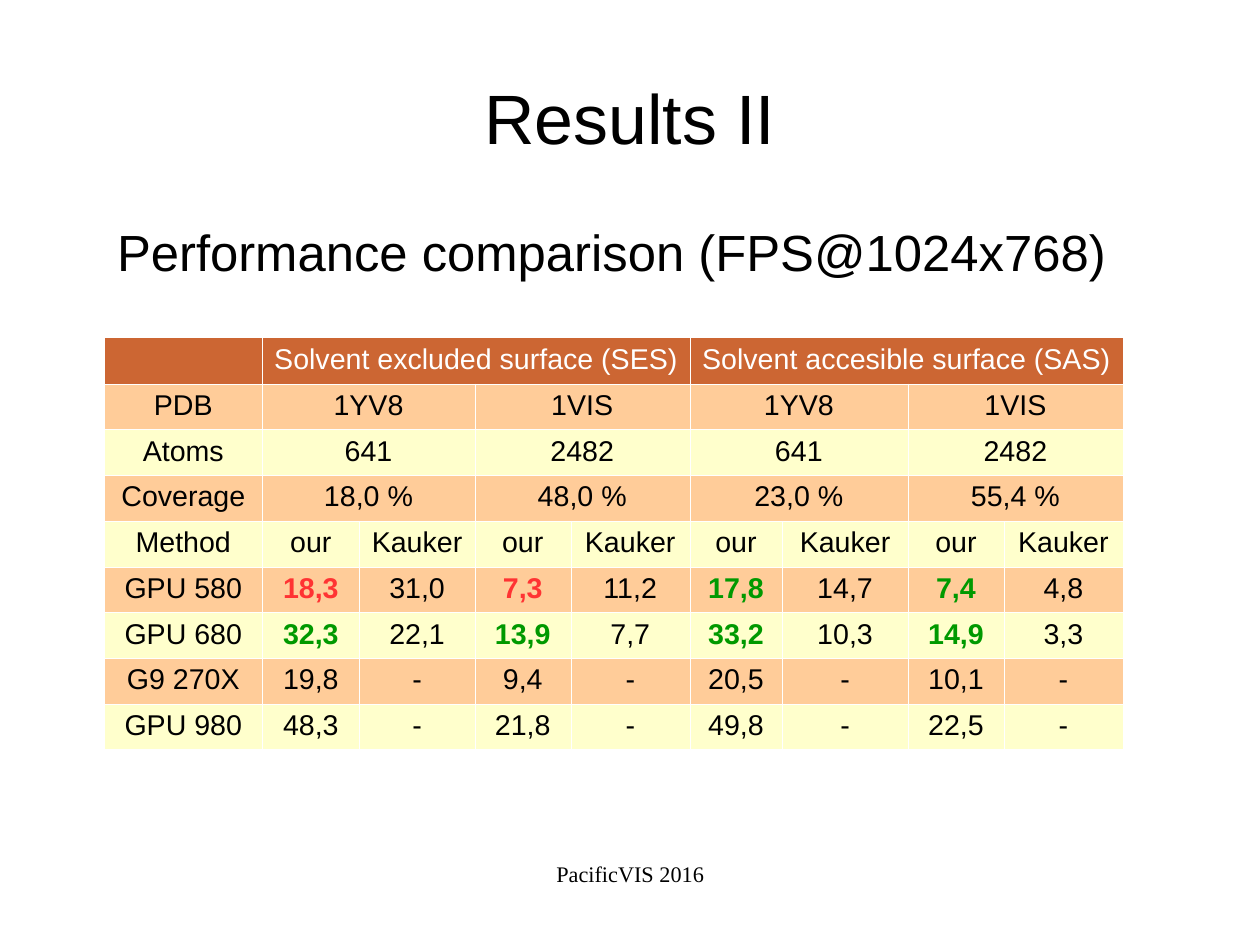
import pptx
import pptx.dml.color
import pptx.enum.text
import pptx.oxml
import pptx.oxml.ns
import pptx.util

Pt = pptx.util.Pt
ALIGN = pptx.enum.text.PP_ALIGN
ANCHOR = pptx.enum.text.MSO_ANCHOR

BLACK, WHITE = "000000", "FFFFFF"
SLOWER, FASTER = "FF3333", "009900"
HEADER_FILL, BAND_FILLS = "CC6633", ("FFCC99", "FFFFCC")

COLUMN_WIDTHS = (99.4, 61.2, 72.7, 60.5, 74.9, 58.3, 79.2, 60.5, 74.9)
ROW_HEIGHT = 28.8

# Each row is a label and its values, which share the eight columns evenly
ROWS = (
    ("", ("Solvent excluded surface (SES)", "Solvent accesible surface (SAS)")),
    ("PDB", ("1YV8", "1VIS") * 2),
    ("Atoms", ("641", "2482") * 2),
    ("Coverage", ("18,0 %", "48,0 %", "23,0 %", "55,4 %")),
    ("Method", ("our", "Kauker") * 4),
    ("GPU 580", ("18,3", "31,0", "7,3", "11,2", "17,8", "14,7", "7,4", "4,8")),
    ("GPU 680", ("32,3", "22,1", "13,9", "7,7", "33,2", "10,3", "14,9", "3,3")),
    ("G9 270X", ("19,8", "-", "9,4", "-", "20,5", "-", "10,1", "-")),
    ("GPU 980", ("48,3", "-", "21,8", "-", "49,8", "-", "22,5", "-")),
)
FIRST_TIMING_ROW = 5


def rgb(value):
    return pptx.dml.color.RGBColor.from_string(value)


def set_attributes(target, values):
    for name, value in values.items():
        setattr(target, name, value)


def write(frame, text, size, color=BLACK, font="Arial", bold=False, **para_format):
    """Put one formatted paragraph into a text frame."""
    para = frame.paragraphs[0]
    set_attributes(para, {"space_before": Pt(0), "space_after": Pt(0), **para_format})
    if text:
        span = para.add_run()
        span.text = text
        set_attributes(span.font, {"size": Pt(size), "name": font, "bold": bold})
        span.font.color.rgb = rgb(color)
    return para


def place(shape, box, anchor=ANCHOR.TOP):
    """Move a text shape to its box and remove its inner margins."""
    sides = ("left", "top", "width", "height")
    set_attributes(shape, {side: Pt(length) for side, length in zip(sides, box)})
    margins = ("margin_left", "margin_top", "margin_right", "margin_bottom")
    set_attributes(shape.text_frame, {
        **dict.fromkeys(margins, 0),
        "word_wrap": True,
        "auto_size": pptx.enum.text.MSO_AUTO_SIZE.NONE,
        "vertical_anchor": anchor,
    })
    return shape.text_frame


def add_title(page, box):
    frame = place(page.shapes.title, box, ANCHOR.MIDDLE)
    write(frame, "Results II", 44, alignment=ALIGN.CENTER)


def add_body(page, box):
    frame = place(page.placeholders[1], box)
    para = write(frame, "Performance comparison (FPS@1024x768)", 32,
                 alignment=ALIGN.LEFT, space_after=Pt(14.2))
    # Indented line without a bullet
    properties = para._p.get_or_add_pPr()
    properties.set("marL", str(Pt(34)))
    properties.set("indent", "0")
    properties.append(pptx.oxml.parse_xml(
        f"<a:buNone {pptx.oxml.ns.nsdecls('a')}/>"))


def style_cell(cell, fill):
    """Thin white borders on all sides and a plain fill."""
    properties = cell._tc.get_or_add_tcPr()
    for side in ("lnL", "lnR", "lnT", "lnB"):
        properties.append(pptx.oxml.parse_xml(
            f'<a:{side} {pptx.oxml.ns.nsdecls("a")} w="{Pt(0.06)}"><a:solidFill>'
            f'<a:srgbClr val="{WHITE}"/></a:solidFill></a:{side}>'))
    cell.fill.solid()
    cell.fill.fore_color.rgb = rgb(fill)


def timing_format(values, index):
    """Highlight our timing wherever there is one to compare it with."""
    if index % 2 or values[index + 1] == "-":
        return {}
    ours, other = (float(value.replace(",", ".")) for value in values[index:index + 2])
    return {"bold": True, "color": FASTER if ours > other else SLOWER}


def add_results_table(page, box):
    lengths = [Pt(length) for length in box]
    table = page.shapes.add_table(len(ROWS), len(COLUMN_WIDTHS), *lengths).table
    for column, width in zip(table.columns, COLUMN_WIDTHS):
        column.width = Pt(width)

    for row, (label, values) in enumerate(ROWS):
        table.rows[row].height = Pt(ROW_HEIGHT)
        fill = BAND_FILLS[(row - 1) % 2] if row else HEADER_FILL
        for column in range(len(COLUMN_WIDTHS)):
            style_cell(table.cell(row, column), fill)

        write(table.cell(row, 0).text_frame, label, 18, alignment=ALIGN.CENTER)
        columns_each = (len(COLUMN_WIDTHS) - 1) // len(values)
        for index, value in enumerate(values):
            first = 1 + index * columns_each
            cell = table.cell(row, first)
            if columns_each > 1:
                cell.merge(table.cell(row, first + columns_each - 1))
            look = {} if row else {"color": WHITE}
            if row >= FIRST_TIMING_ROW:
                look = timing_format(values, index)
            write(cell.text_frame, value, 18, alignment=ALIGN.CENTER, **look)


def add_footer(page, box):
    shape = page.shapes.add_textbox(*[Pt(length) for length in box])
    write(place(shape, box), "PacificVIS 2016", 14, font="Times New Roman",
          alignment=ALIGN.CENTER)


def main():
    deck = pptx.Presentation()
    set_attributes(deck, {"slide_width": Pt(793.7), "slide_height": Pt(595.3)})
    page = deck.slides.add_slide(deck.slide_layouts[1])
    add_title(page, (39.7, 23.8, 714.3, 99.4))
    add_body(page, (39.7, 139, 714.3, 393))
    add_results_table(page, (65.8, 212.6, sum(COLUMN_WIDTHS), ROW_HEIGHT * len(ROWS)))
    add_footer(page, (271.4, 542.2, 251.3, 41))
    deck.save("out.pptx")


if __name__ == "__main__":
    main()
